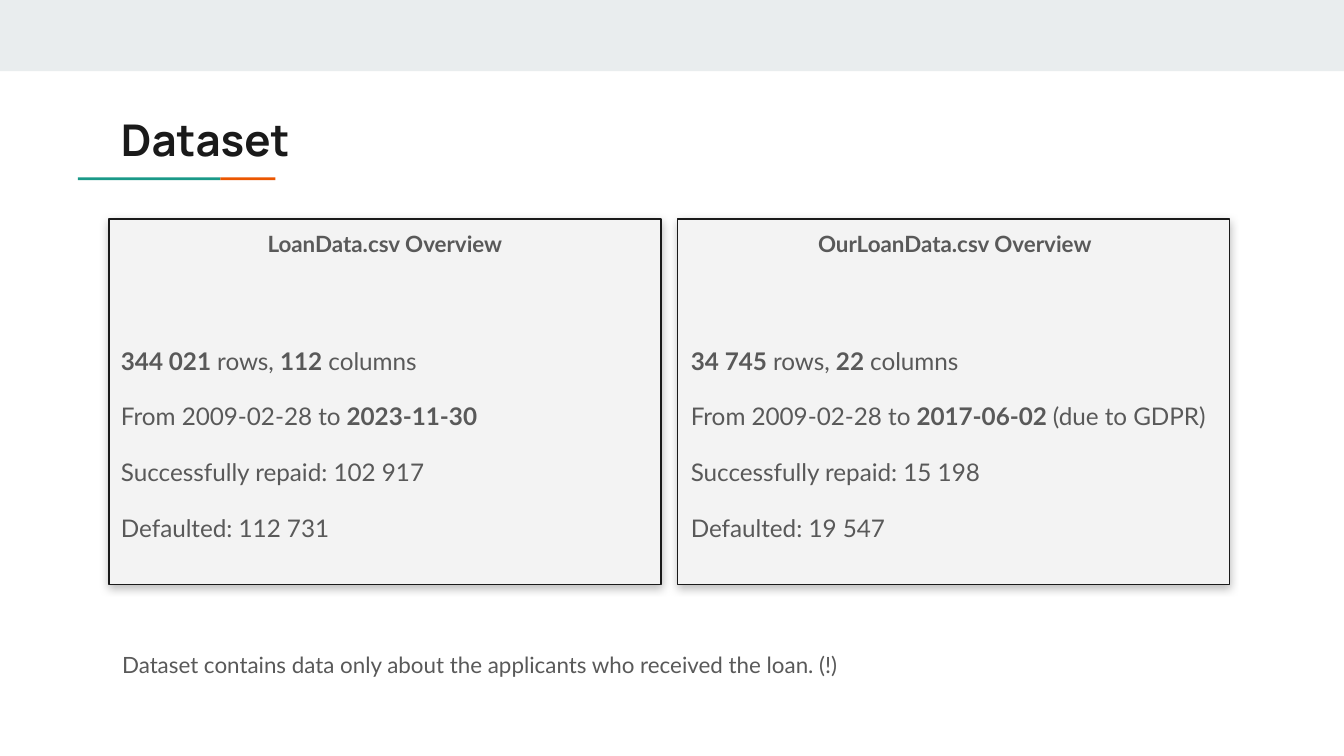
"""Build the Dataset slide with two file overview cards."""
from lxml import etree
from pptx import Presentation
from pptx.dml.color import RGBColor
from pptx.enum.shapes import MSO_SHAPE
from pptx.enum.text import MSO_ANCHOR, MSO_AUTO_SIZE, PP_ALIGN
from pptx.oxml import parse_xml
from pptx.oxml.ns import nsdecls, qn
from pptx.util import Inches, Pt

RECT = MSO_SHAPE.RECTANGLE
TOP = MSO_ANCHOR.TOP
FIXED = MSO_AUTO_SIZE.NONE
LEFT, CENTER = PP_ALIGN.LEFT, PP_ALIGN.CENTER

COLORS = {
    "band": "E9EDEE",
    "green": "1A9988",
    "orange": "EB5600",
    "card": "F3F3F3",
    "ink": "1A1A1A",
    "text": "595959",
}
CARDS = [
    (0.81, 0.8, "LoanData.csv Overview", [
        "**344 021** rows, **112** columns",
        "From 2009-02-28 to **2023-11-30**",
        "Successfully repaid: 102 917",
        "Defaulted: 112 731",
    ]),
    (5.04, 5.04, "OurLoanData.csv Overview", [
        "**34 745** rows, **22** columns",
        "From 2009-02-28 to **2017-06-02** (due to GDPR)",
        "Successfully repaid: 15 198",
        "Defaulted: 19 547",
    ]),
]
SHADOW = (
    f'<a:effectLst {nsdecls("a")}>'
    '<a:outerShdw blurRad="57150" dist="19050" dir="5400000" algn="bl" rotWithShape="0">'
    '<a:srgbClr val="000000"><a:alpha val="25000"/></a:srgbClr>'
    '</a:outerShdw></a:effectLst>'
)


def color(name):
    """Return a named colour."""
    return RGBColor.from_string(COLORS[name])


def place(shape, box):
    """Move and size a shape in inches."""
    shape.left, shape.top, shape.width, shape.height = map(Inches, box)


def add_rect(slide, box, fill):
    """Add a plain filled rectangle."""
    rect = slide.shapes.add_shape(RECT, *map(Inches, box))
    rect.shadow.inherit = False
    rect.fill.solid()
    rect.fill.fore_color.rgb = color(fill)
    rect.line.fill.background()
    return rect


def add_card(slide, left):
    """Add an outlined panel with a soft shadow."""
    card = add_rect(slide, (left, 1.63, 4.11, 2.72), "card")
    card.line.color.rgb = color("ink")
    card.line.width = Pt(0.75)
    props = card._element.spPr
    props.replace(props.find(qn("a:effectLst")), parse_xml(SHADOW))


def drop_bullet(para):
    """Remove the bullet and its indent."""
    props = para._p.get_or_add_pPr()
    props.set("marL", "0")
    props.set("indent", "0")
    etree.SubElement(props, qn("a:buNone"))


def write(shape, box, lines, size=12, font="Lato", ink="text", bold=False,
          align=LEFT, space=0.95, before=0, inset=0.1):
    """Fill a text shape, with bold parts between double stars."""
    place(shape, box)
    shape._element.getparent().append(shape._element)
    frame = shape.text_frame
    frame.word_wrap = True
    frame.auto_size = FIXED
    frame.vertical_anchor = TOP
    frame.margin_left = frame.margin_right = frame.margin_bottom = Inches(0.1)
    frame.margin_top = Inches(inset)
    for row, line in enumerate(lines):
        para = frame.add_paragraph() if row else frame.paragraphs[0]
        para.alignment = align
        para.line_spacing = space
        para.space_before = Pt(before if row else 0)
        para.space_after = Pt(0)
        drop_bullet(para)
        for part, text in enumerate(line.split("**")):
            if text:
                run = para.add_run()
                run.text = text
                run.font.name = font
                run.font.size = Pt(size)
                run.font.bold = bold or part % 2 == 1
                run.font.color.rgb = color(ink)


def main():
    """Build and save the slide."""
    deck = Presentation()
    deck.slide_width = Inches(10)
    deck.slide_height = deck.slide_width * 9 // 16
    slide = deck.slides.add_slide(deck.slide_layouts[4])
    title, *bodies = slide.placeholders

    add_rect(slide, (0, 0, 10, 0.53), "band")
    add_rect(slide, (0.58, 1.32, 1.06, 0.02), "green")
    add_rect(slide, (1.64, 1.32, 0.41, 0.02), "orange")
    write(title, (0.8, 0.74, 8.41, 0.59), ["Dataset"], size=23.4,
          font="Manrope", ink="ink", bold=True, space=1)

    for (left, edge, head, facts), name, body in zip(CARDS, bodies[::2], bodies[1::2]):
        add_card(slide, left)
        write(name, (edge, 1.63, 4.13, 0.39), [head], bold=True, align=CENTER)
        write(body, (edge, 2.02, 4.11, 2.34), facts, size=13, space=1.15,
              before=12, inset=0.52)

    note = slide.shapes.add_textbox(0, 0, 0, 0)
    write(note, (0.81, 4.76, 8.41, 0.39),
          ["Dataset contains data only about the applicants who received the loan. (!)"])
    deck.save("out.pptx")


if __name__ == "__main__":
    main()
